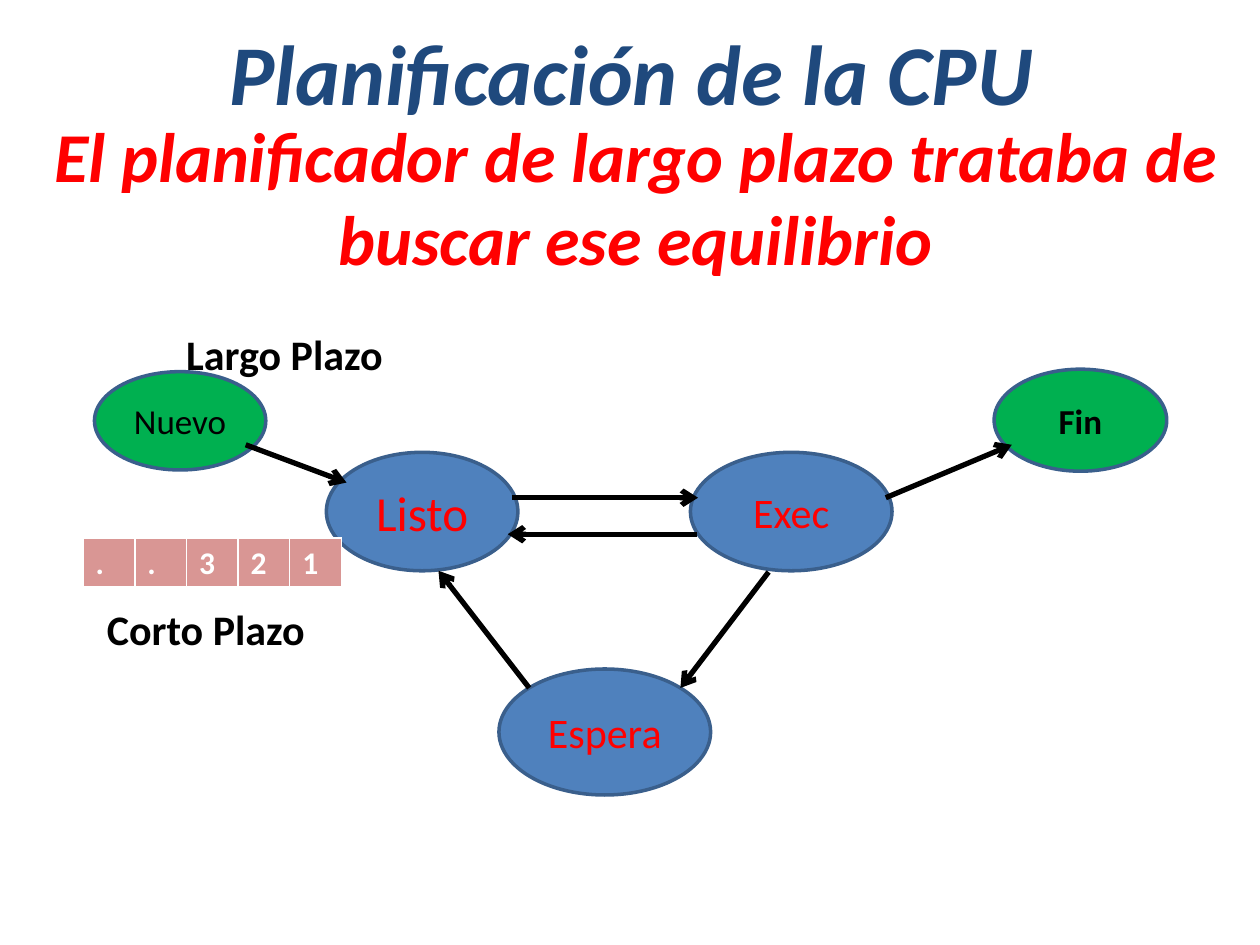
from lxml import etree
from pptx import Presentation
from pptx.dml.color import RGBColor
from pptx.enum.shapes import MSO_CONNECTOR, MSO_SHAPE
from pptx.enum.text import MSO_ANCHOR, PP_ALIGN
from pptx.oxml.ns import qn
from pptx.util import Inches, Pt

OVAL = MSO_SHAPE.OVAL
STRAIGHT = MSO_CONNECTOR.STRAIGHT
MIDDLE = MSO_ANCHOR.MIDDLE
CENTER, LEFT = PP_ALIGN.CENTER, PP_ALIGN.LEFT

FONT = "Calibri"
NAVY = RGBColor(0x1F, 0x49, 0x7D)
RED = RGBColor(0xFF, 0x00, 0x00)
GREEN = RGBColor(0x00, 0xB0, 0x50)
BLUE = RGBColor(0x4F, 0x81, 0xBD)
OUTLINE = RGBColor(0x3A, 0x5F, 0x8C)
PINK = RGBColor(0xD9, 0x96, 0x94)
BLACK = RGBColor(0x00, 0x00, 0x00)
WHITE = RGBColor(0xFF, 0xFF, 0xFF)

# text, left, top, width, height, fill, text colour, size, bold
STATES = [
    ("Nuevo", 0.75, 2.95, 1.36, 0.78, GREEN, BLACK, 20, False),
    ("Exec", 5.48, 3.59, 1.6, 0.94, BLUE, RED, 24, False),
    ("Listo", 2.59, 3.59, 1.52, 0.94, BLUE, RED, 28, False),
    ("Fin", 7.89, 2.93, 1.37, 0.81, GREEN, BLACK, 20, True),
    ("Espera", 3.96, 5.31, 1.68, 1, BLUE, RED, 24, False),
]
# start x, start y, end x, end y
TRANSITIONS = [
    (1.95, 3.53, 2.75, 3.83),
    (7.03, 3.95, 8.03, 3.53),
    (4.06, 3.95, 5.54, 3.95),
    (5.53, 4.24, 4.03, 4.24),
    (6.1, 4.54, 5.4, 5.46),
    (4.2, 5.46, 3.48, 4.53),
]
QUEUE = [".", ".", "3", "2", "1"]
BORDERS = [("a:lnL", 1), ("a:lnR", 1), ("a:lnT", 1), ("a:lnB", 3)]


def write(text_frame, text, size, color, bold=False, italic=False, align=LEFT):
    paragraph = text_frame.paragraphs[0]
    paragraph.alignment = align
    run = paragraph.add_run()
    run.text = text
    font = run.font
    font.name, font.size, font.bold, font.italic = FONT, Pt(size), bold, italic
    font.color.rgb = color
    return paragraph


def place(shape, left, top, width, height):
    shape.left, shape.top = Inches(left), Inches(top)
    shape.width, shape.height = Inches(width), Inches(height)


def add_title(slide):
    title = slide.shapes.title
    place(title, 0.51, 0.21, 9, 0.71)
    title.text_frame.vertical_anchor = MIDDLE
    write(title.text_frame, "Planificación de la CPU", 48.6, NAVY, True, True, CENTER)


def add_text(slide, text, box, size, color, italic=False, align=LEFT):
    text_box = slide.shapes.add_textbox(*map(Inches, box))
    text_box.text_frame.word_wrap = True
    return write(text_box.text_frame, text, size, color, True, italic, align)


def add_state(slide, text, left, top, width, height, fill, color, size, bold):
    box = map(Inches, (left, top, width, height))
    state = slide.shapes.add_shape(OVAL, *box)
    state.shadow.inherit = False
    state.fill.solid()
    state.fill.fore_color.rgb = fill
    state.line.color.rgb = OUTLINE
    state.line.width = Pt(2)
    state.text_frame.vertical_anchor = MIDDLE
    write(state.text_frame, text, size, color, bold, align=CENTER)


def add_arrow(slide, points):
    arrow = slide.shapes.add_connector(STRAIGHT, *map(Inches, points))
    arrow.line.color.rgb = BLACK
    arrow.line.width = Pt(3)
    properties = arrow.line._get_or_add_ln()
    etree.SubElement(properties, qn("a:tailEnd"), type="arrow")
    etree.SubElement(arrow._element.spPr, qn("a:effectLst"))


def set_borders(cell):
    properties = cell._tc.get_or_add_tcPr()
    for index, (tag, width) in enumerate(BORDERS):
        border = etree.Element(qn(tag), w=str(Pt(width)))
        fill = etree.SubElement(border, qn("a:solidFill"))
        etree.SubElement(fill, qn("a:srgbClr"), val=str(WHITE))
        properties.insert(index, border)


def add_queue(slide):
    box = map(Inches, (0.66, 4.27, 2.05, 0.4))
    table = slide.shapes.add_table(1, len(QUEUE), *box).table
    table.first_row = table.horz_banding = False
    for column, text in enumerate(QUEUE):
        cell = table.cell(0, column)
        cell.fill.solid()
        cell.fill.fore_color.rgb = PINK
        set_borders(cell)
        write(cell.text_frame, text, 18, WHITE, bold=True)


def main():
    presentation = Presentation()
    presentation.slide_width = Inches(10)
    presentation.slide_height = Inches(7.5)
    slide = presentation.slides.add_slide(presentation.slide_layouts[5])

    add_title(slide)
    statement = add_text(
        slide, "El planificador de largo plazo trataba de buscar ese equilibrio",
        (0.2, 0.84, 9.69, 6.46), 40, RED, italic=True, align=CENTER)
    statement.space_before = Pt(8)
    for state in STATES:
        add_state(slide, *state)
    for points in TRANSITIONS:
        add_arrow(slide, points)
    add_text(slide, "Largo Plazo", (1.38, 2.56, 1.94, 0.5), 24, BLACK)
    add_queue(slide)
    add_text(slide, "Corto Plazo", (0.75, 4.74, 1.94, 0.5), 24, BLACK)
    presentation.save("out.pptx")


if __name__ == "__main__":
    main()
